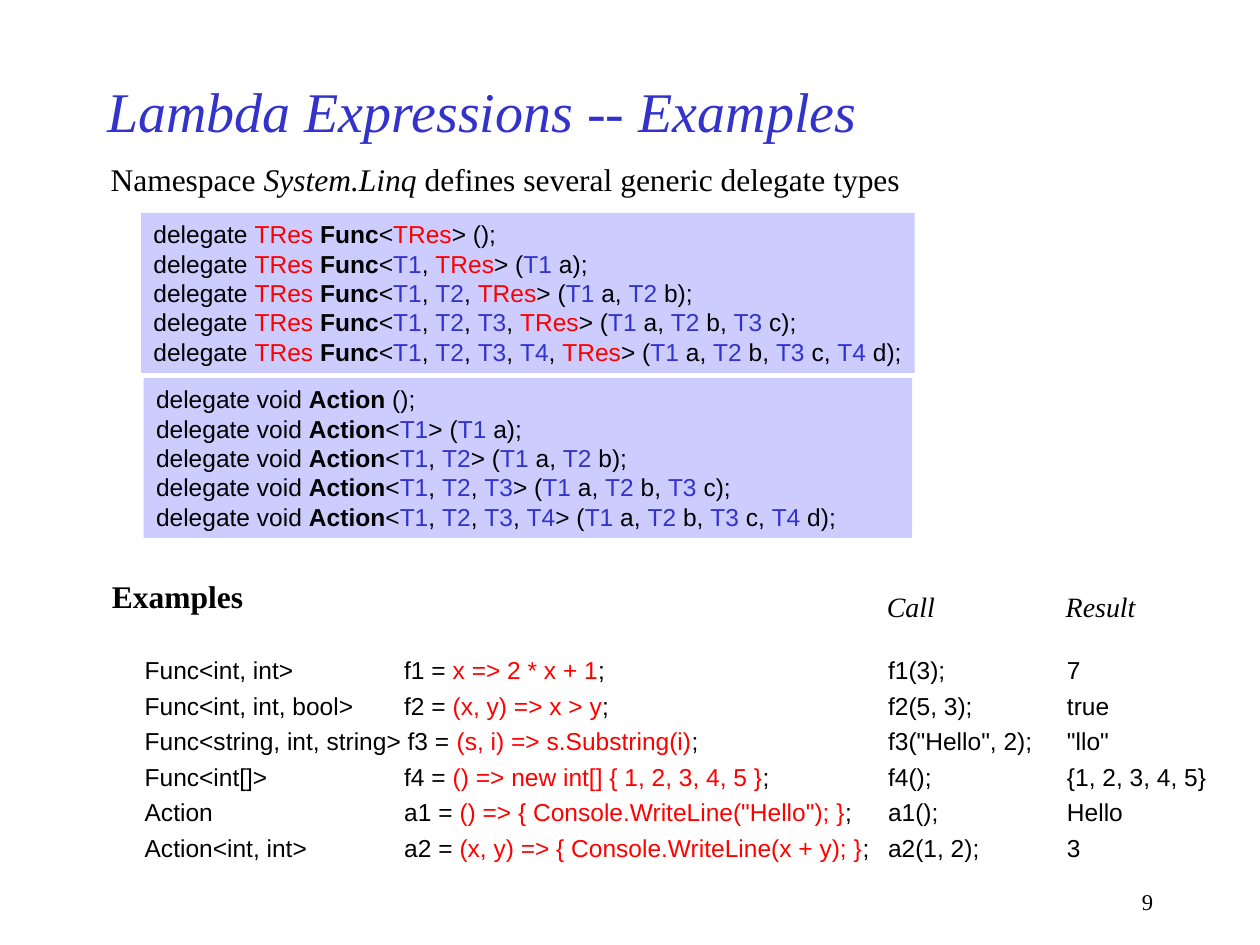
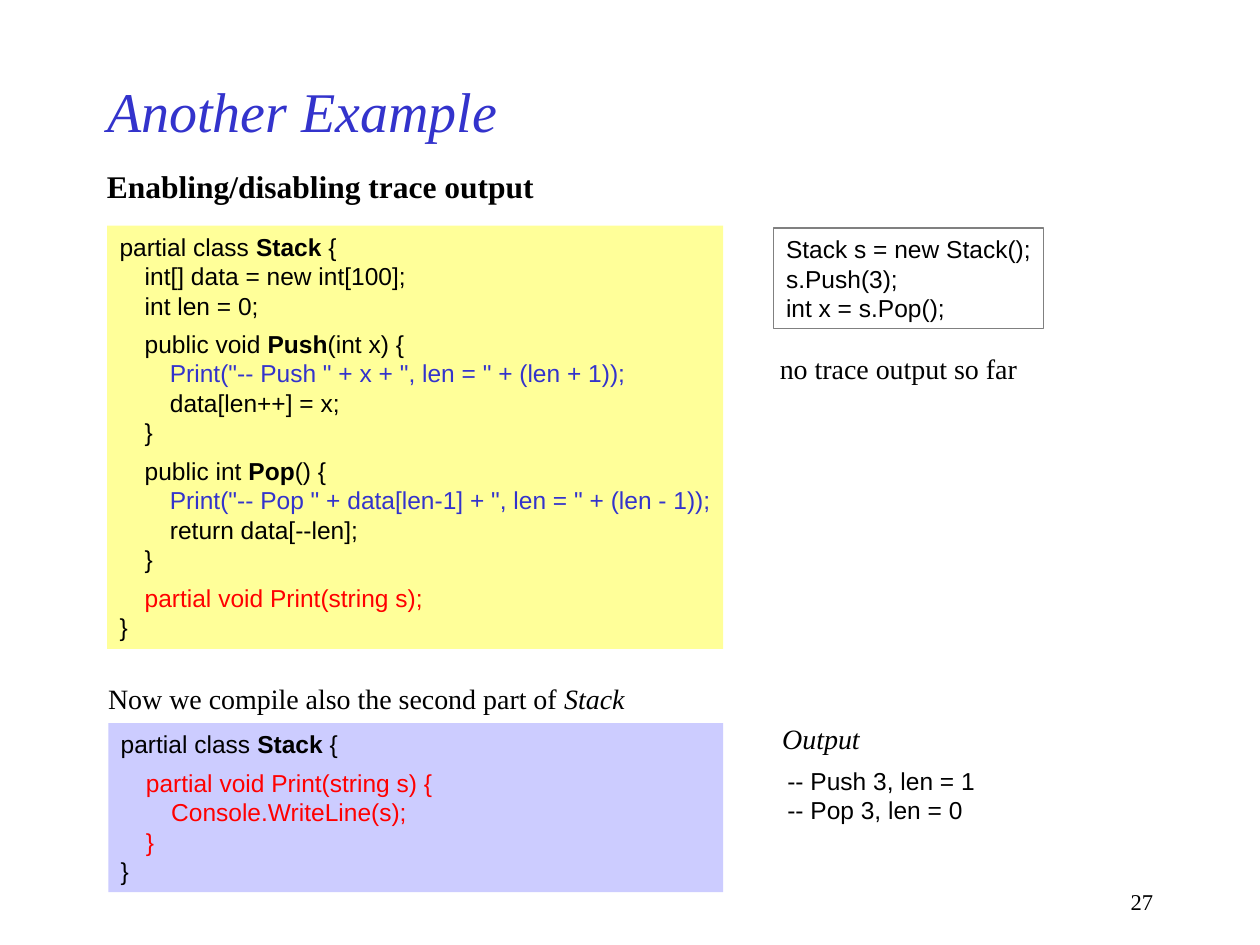
import lxml.etree
import pptx
import pptx.dml.color
import pptx.enum.shapes
import pptx.enum.text
import pptx.oxml.ns
import pptx.util

Inches, Pt = pptx.util.Inches, pptx.util.Pt
ALIGN = pptx.enum.text.PP_ALIGN
ANCHOR = pptx.enum.text.MSO_ANCHOR

THEME = {
    "colors": {"black": "000000", "blue": "3333CC", "red": "FF0000",
               "lavender": "CCCCFF", "yellow": "FFFF99", "gray": "808080"},
    "styles": {
        "title": {"name": "Times New Roman", "size": Pt(32), "italic": True, "color": "blue"},
        "lead": {"name": "Times New Roman", "size": Pt(18)},
        "heading": {"name": "Times New Roman", "size": Pt(18), "bold": True},
        "note": {"name": "Times New Roman", "size": Pt(16)},
        "label": {"name": "Times New Roman", "size": Pt(16), "italic": True},
        "code": {"name": "Arial", "size": Pt(14)},
        "number": {"name": "Times New Roman", "size": Pt(12.9)},
    },
    "accents": {"red": {"color": "red"}, "blue": {"color": "blue"},
                "bold": {"bold": True}, "italic": {"italic": True}},
    "margins": {"margin_left": Inches(0.1), "margin_right": Inches(0.1),
                "margin_top": Inches(0.05), "margin_bottom": Inches(0.05)},
}


# A line is a string or a list of runs; a run is a string or (accent, string).
def red(text):
    return "red", text


def blue(text):
    return "blue", text


def bold(text):
    return "bold", text


def italic(text):
    return "italic", text


def joined(groups):
    """Put a comma between groups of runs."""
    runs = []
    for index, group in enumerate(groups):
        runs += ([", "] if index else []) + group
    return runs


def delegate(name, count, result=None):
    """Declare a generic delegate with count parameters and an optional result type."""
    types = [blue(f"T{number}") for number in range(1, count + 1)]
    parameters = joined([kind, f" {letter}"] for kind, letter in zip(types, "abcd"))
    generics = types + ([red(result)] if result else [])
    line = ["delegate ", red(result + " ") if result else "void ", bold(name)]
    if generics:
        line += ["<", *joined([kind] for kind in generics), ">"]
    return line + [" (", *parameters, ");"]


FUNC_TYPES = [delegate("Func", count, "TRes") for count in range(5)]
ACTION_TYPES = [delegate("Action", count) for count in range(5)]

# declaration, lambda, call, result
EXAMPLES = [
    ("Func<int, int> \tf1", "x => 2 * x + 1", "f1(3);", "7"),
    ("Func<int, int, bool> \tf2", "(x, y) => x > y", "f2(5, 3);", "true"),
    ("Func<string, int, string> f3", "(s, i) => s.Substring(i)", 'f3("Hello", 2);', '"llo"'),
    ("Func<int[]> \tf4", "() => new int[] { 1, 2, 3, 4, 5 }", "f4();", "{1, 2, 3, 4, 5}"),
    ("Action \ta1", '() => { Console.WriteLine("Hello"); }', "a1();", "Hello"),
    ("Action<int, int> \ta2", "(x, y) => { Console.WriteLine(x + y); }", "a2(1, 2);", "3"),
]

# Blocks of lines, separated by a small gap
STACK_HEAD = ["partial class ", bold("Stack"), " {"]
STACK_FIRST_PART = [
    [STACK_HEAD,
     "\tint[] data = new int[100];",
     "\tint len = 0;"],
    [["\tpublic void ", bold("Push"), "(int x) {"],
     ["\t\t", blue('Print("-- Push " + x + ", len = " + (len + 1));')],
     "\t\tdata[len++] = x;",
     "\t}"],
    [["\tpublic int ", bold("Pop"), "() {"],
     ["\t\t", blue('Print("-- Pop " + data[len-1] + ", len = " + (len - 1));')],
     "\t\treturn data[--len];",
     "\t}"],
    [["\t", red("partial void Print(string s);")],
     "}"],
]
STACK_SECOND_PART = [
    [STACK_HEAD],
    [["\t", red("partial void Print(string s) {")],
     [red("\t\tConsole.WriteLine(s);")],
     [red("\t}")],
     "}"],
]
USAGE = ["Stack s = new Stack();", "s.Push(3);", "int x = s.Pop();"]
TRACE = ["-- Push 3, len = 1", "-- Pop 3, len = 0"]

CODE_TABS = (0.2, 0.4)
EXAMPLE_TABS = (2.06,)
EXAMPLE_TOP, EXAMPLE_HEIGHT = 5.15, 1.75


def rgb(color):
    return pptx.dml.color.RGBColor.from_string(THEME["colors"][color])


def format_font(font, style):
    for attribute, value in {"color": "black", **style}.items():
        if attribute == "color":
            font.color.rgb = rgb(value)
        else:
            setattr(font, attribute, value)


def set_tabs(paragraph, tabs):
    tab_list = lxml.etree.SubElement(paragraph._p.get_or_add_pPr(),
                                     pptx.oxml.ns.qn("a:tabLst"))
    for position in tabs:
        lxml.etree.SubElement(tab_list, pptx.oxml.ns.qn("a:tab"),
                              pos=str(Inches(position)), algn="l")


def write(frame, blocks, style, gap=0, tabs=(), align=ALIGN.LEFT, wrap=False,
          anchor=ANCHOR.TOP):
    """Fill a text frame with blocks of lines, with gap points between blocks."""
    frame_format = {**THEME["margins"], "word_wrap": wrap, "vertical_anchor": anchor,
                    "auto_size": pptx.enum.text.MSO_AUTO_SIZE.NONE}
    for attribute, value in frame_format.items():
        setattr(frame, attribute, value)
    lines = [(line, gap if block_index and not line_index else 0)
             for block_index, block in enumerate(blocks)
             for line_index, line in enumerate(block)]
    for index, (line, space) in enumerate(lines):
        paragraph = frame.add_paragraph() if index else frame.paragraphs[0]
        if tabs:
            set_tabs(paragraph, tabs)
        paragraph.alignment = align
        if space:
            paragraph.space_before = Pt(space)
        for part in [line] if isinstance(line, str) else line:
            accent, text = (None, part) if isinstance(part, str) else part
            run = paragraph.add_run()
            run.text = text
            format_font(run.font, {**THEME["styles"][style],
                                   **THEME["accents"].get(accent, {})})


def add_text(slide, box, blocks, style, **options):
    write(slide.shapes.add_textbox(*map(Inches, box)).text_frame, blocks, style, **options)


def add_panel(slide, box, blocks, fill=None, line=None, **options):
    panel = slide.shapes.add_shape(pptx.enum.shapes.MSO_SHAPE.RECTANGLE, *map(Inches, box))
    panel.shadow.inherit = False
    if fill:
        panel.fill.solid()
        panel.fill.fore_color.rgb = rgb(fill)
    else:
        panel.fill.background()
    if line:
        panel.line.color.rgb = rgb(line)
        panel.line.width = Pt(0.75)
    else:
        panel.line.fill.background()
    write(panel.text_frame, blocks, "code", **options)


def add_slide(deck, title, number):
    slide = deck.slides.add_slide(deck.slide_layouts[5])
    heading = slide.shapes.title
    heading.left, heading.top, heading.width, heading.height = map(
        Inches, (0.75, 0.5, 7.5, 0.75))
    write(heading.text_frame, [[title]], "title", wrap=True, anchor=ANCHOR.MIDDLE)
    add_text(slide, (7.17, 7, 2.08, 0.33), [[number]], "number",
             align=ALIGN.RIGHT, wrap=True)
    return slide


def build_lambda_slide(deck):
    slide = add_slide(deck, "Lambda Expressions -- Examples", "9")
    namespace = ["Namespace ", italic("System.Linq"), " defines several generic delegate types"]
    add_text(slide, (0.78, 1.22, 6.47, 0.4), [[namespace]], "lead")
    add_panel(slide, (1.12, 1.69, 6.14, 1.27), [FUNC_TYPES], fill="lavender")
    add_panel(slide, (1.14, 3, 6.1, 1.27), [ACTION_TYPES], fill="lavender", wrap=True)

    add_text(slide, (0.79, 4.53, 1.24, 0.4), [["Examples"]], "heading")
    add_text(slide, (6.94, 4.63, 0.58, 0.37), [["Call"]], "label")
    add_text(slide, (8.36, 4.63, 0.75, 0.37), [["Result"]], "label")
    declarations = [[name + " = ", red(body), ";"] for name, body, _, _ in EXAMPLES]
    calls = [call for _, _, call, _ in EXAMPLES]
    results = [result for _, _, _, result in EXAMPLES]
    columns = [(1.05, 5.96, declarations), (6.95, 1.34, calls), (8.37, 1.3, results)]
    for left, width, cells in columns:
        add_text(slide, (left, EXAMPLE_TOP, width, EXAMPLE_HEIGHT),
                 [[cell] for cell in cells], "code", gap=3.5, tabs=EXAMPLE_TABS)


def build_trace_slide(deck):
    slide = add_slide(deck, "Another Example", "27")
    add_text(slide, (0.75, 1.28, 3.59, 0.4), [["Enabling/disabling trace output"]], "heading")
    add_panel(slide, (0.85, 1.79, 4.89, 3.36), STACK_FIRST_PART, fill="yellow",
              gap=5.2, tabs=CODE_TABS)
    add_panel(slide, (6.14, 1.81, 2.14, 0.8), [USAGE], line="gray")
    add_text(slide, (6.09, 2.74, 2.08, 0.37), [["no trace output so far"]], "note")

    second_part = ["Now we compile also the second part of ", italic("Stack")]
    add_text(slide, (0.76, 5.36, 4.3, 0.37), [[second_part]], "note")
    add_panel(slide, (0.86, 5.74, 4.88, 1.34), STACK_SECOND_PART, fill="lavender",
              gap=5.2, tabs=CODE_TABS, wrap=True)
    add_text(slide, (6.11, 5.68, 0.81, 0.37), [["Output"]], "label")
    add_text(slide, (6.15, 6.03, 1.69, 0.57), [TRACE], "code")


def main():
    deck = pptx.Presentation()
    deck.slide_width, deck.slide_height = Inches(10), Inches(7.5)
    build_lambda_slide(deck)
    build_trace_slide(deck)
    deck.save("out.pptx")


if __name__ == "__main__":
    main()
